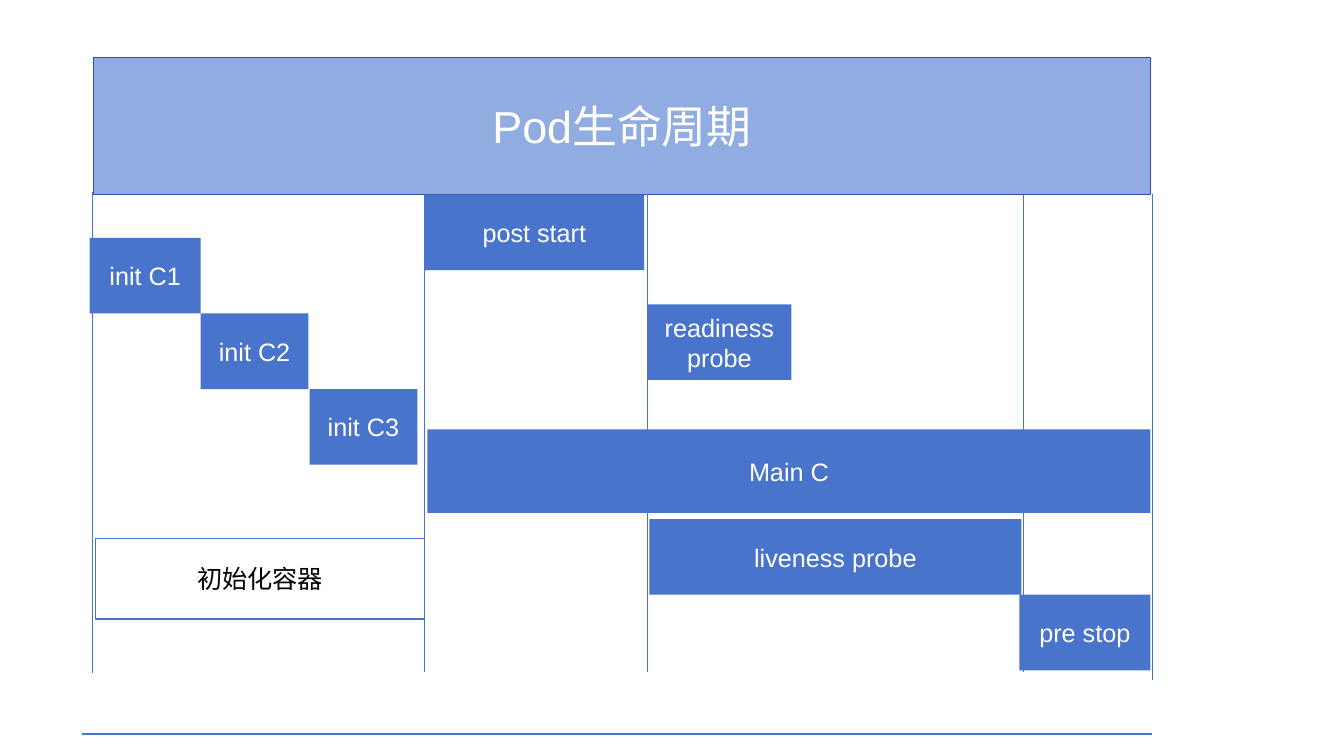
from lxml.etree import SubElement
from pptx import Presentation
from pptx.dml.color import RGBColor
from pptx.enum.shapes import MSO_CONNECTOR, MSO_SHAPE
from pptx.enum.text import MSO_ANCHOR, PP_ALIGN
from pptx.oxml.ns import qn
from pptx.util import Inches, Pt

BLUE, PALE_BLUE, DARK_BLUE = "4874CB", "91ACE0", "2E54A1"
WHITE, BLACK = "FFFFFF", "000000"
STAGE_HEIGHT = 0.75

# Text, left, top, width, height
TITLE = ("Pod生命周期", 0.93, 0.57, 10.48, 1.36)
INIT_LABEL = ("初始化容器", 0.95, 5.34, 3.26, 0.8)
MAIN_CONTAINER = ("Main C", 4.24, 4.26, 7.17, 0.83)

# Init containers run one after another: text, left, width
INIT_TOP = 2.36
INIT_CONTAINERS = [("init C1", 0.89, 1.1), ("init C2", 1.99, 1.07), ("init C3", 3.07, 1.07)]

# Hooks and probes: text, left, top, width
HOOKS = [
    ("post start", 4.21, 1.93, 2.18),
    ("readiness probe", 6.42, 3.02, 1.43),
    ("liveness probe", 6.44, 5.15, 3.69),
    ("pre stop", 10.11, 5.9, 1.3),
]

# Phase boundaries: x, top, bottom
BOUNDARIES = [
    (0.92, 1.9, 6.68),
    (4.21, 1.93, 6.67),
    (6.42, 1.92, 6.67),
    (10.15, 1.93, 6.67),
    (11.43, 1.92, 6.75),
]
TIMELINE = (0.81, 7.28, 11.43, 7.28)


def color(hex_code):
    return RGBColor.from_string(hex_code)


def add_box(text, left, top, width, height, fill=BLUE, outline=None, ink=WHITE, size=18):
    box = slide.shapes.add_shape(
        MSO_SHAPE.RECTANGLE, Inches(left), Inches(top), Inches(width), Inches(height))
    box.shadow.inherit = False
    if fill:
        box.fill.solid()
        box.fill.fore_color.rgb = color(fill)
    else:
        box.fill.background()
    if outline:
        box.line.color.rgb = color(outline)
        box.line.width = Pt(1)
    else:
        box.line.fill.background()
    frame = box.text_frame
    frame.text = text
    frame.word_wrap = True
    frame.vertical_anchor = MSO_ANCHOR.MIDDLE
    paragraph = frame.paragraphs[0]
    paragraph.alignment = PP_ALIGN.CENTER
    font = paragraph.runs[0].font
    font.name = "Arial"
    font.size = Pt(size)
    font.color.rgb = color(ink)


def add_line(x1, y1, x2, y2):
    line = slide.shapes.add_connector(
        MSO_CONNECTOR.STRAIGHT, Inches(x1), Inches(y1), Inches(x2), Inches(y2))
    line.line.color.rgb = color(BLUE)
    line.line.width = Pt(1)
    SubElement(line._element.spPr, qn("a:effectLst"))


prs = Presentation()
prs.slide_width, prs.slide_height = Inches(13.33), Inches(7.5)
slide = prs.slides.add_slide(prs.slide_layouts[6])

# Title band
add_box(*TITLE, fill=PALE_BLUE, outline=DARK_BLUE, size=32)

# Phase boundaries and timeline
for x, top, bottom in BOUNDARIES:
    add_line(x, top, x, bottom)
add_line(*TIMELINE)

# Staircase of init containers
for step, (name, left, width) in enumerate(INIT_CONTAINERS):
    add_box(name, left, INIT_TOP + step * STAGE_HEIGHT, width, STAGE_HEIGHT)

# Main container and init label
add_box(*MAIN_CONTAINER)
add_box(*INIT_LABEL, fill=None, outline=BLUE, ink=BLACK)

# Hooks and probes
for name, left, top, width in HOOKS:
    add_box(name, left, top, width, STAGE_HEIGHT)

prs.save("out.pptx")
